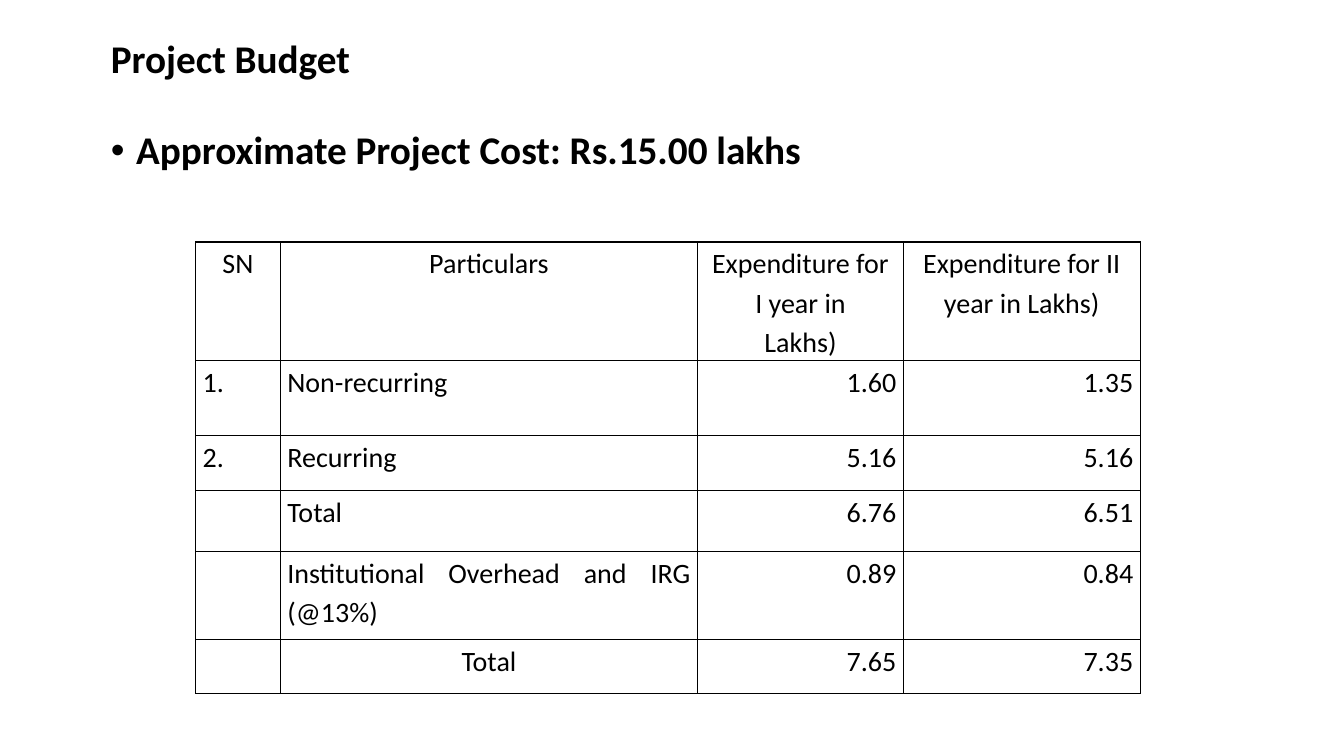
"""Build the project budget slide with its expenditure table."""
from lxml import etree
from pptx import Presentation
from pptx.dml.color import RGBColor
from pptx.enum import text
from pptx.oxml import ns
from pptx.util import Inches, Pt

BLACK = RGBColor(0, 0, 0)
FONT = "Calibri"
CENTER, RIGHT, JUSTIFY = text.PP_ALIGN.CENTER, text.PP_ALIGN.RIGHT, text.PP_ALIGN.JUSTIFY
COLUMN_WIDTHS = [0.84, 4.14, 2.04, 2.35]
ROW_HEIGHTS = [1.12, 0.75, 0.54, 0.61, 0.87, 0.54]
BUDGET = [
    ["SN", "Particulars", "Expenditure for\nI year in\nLakhs)", "Expenditure for II year in Lakhs)"],
    ["1.", "Non-recurring", "1.60", "1.35"],
    ["2.", "Recurring", "5.16", "5.16"],
    ["", "Total", "6.76", "6.51"],
    ["", "Institutional Overhead and IRG (@13%)", "0.89", "0.84"],
    ["", "Total", "7.65", "7.35"],
]


def add_text(paragraph, words, size, bold=False):
    for index, line in enumerate(words.split("\n")):
        if index:
            paragraph.add_line_break()
        run = paragraph.add_run()
        run.text = line
        run.font.name = FONT
        run.font.size = Pt(size)
        run.font.bold = bold
        run.font.color.rgb = BLACK


def add_borders(cell):
    properties = cell._tc.get_or_add_tcPr()
    for index, side in enumerate(["lnL", "lnR", "lnT", "lnB"]):
        line = etree.Element(ns.qn(f"a:{side}"), w=str(Pt(1)))
        fill = etree.SubElement(line, ns.qn("a:solidFill"))
        etree.SubElement(fill, ns.qn("a:srgbClr"), val=str(BLACK))
        properties.insert(index, line)


presentation = Presentation()
presentation.slide_width = Inches(13.33)
presentation.slide_height = Inches(7.5)
slide = presentation.slides.add_slide(presentation.slide_layouts[1])

title, body = slide.shapes.title, slide.placeholders[1]
for shape, top, height, words in [
    (title, 0.26, 1.15, "Project Budget"),
    (body, 1.25, 5.09, "Approximate Project Cost: Rs.15.00 lakhs"),
]:
    shape.left, shape.top = Inches(1), Inches(top)
    shape.width, shape.height = Inches(11.33), Inches(height)
    frame = shape.text_frame
    frame.auto_size = text.MSO_AUTO_SIZE.NONE
    frame.vertical_anchor = text.MSO_ANCHOR.TOP
    paragraph = frame.paragraphs[0]
    paragraph.alignment = text.PP_ALIGN.LEFT
    paragraph.line_spacing = 0.9
    paragraph.space_before = Pt(0)
    add_text(paragraph, words, 28, bold=True)
title.text_frame.margin_top = Inches(0.13)

bullet_properties = body.text_frame.paragraphs[0]._p.get_or_add_pPr()
bullet_properties.set("marL", str(Inches(0.25)))
bullet_properties.set("indent", str(Inches(-0.25)))
etree.SubElement(bullet_properties, ns.qn("a:buFont"), typeface="Arial")
etree.SubElement(bullet_properties, ns.qn("a:buChar"), char="•")

table = slide.shapes.add_table(
    len(ROW_HEIGHTS), len(COLUMN_WIDTHS), Inches(1.94), Inches(2.4),
    Inches(sum(COLUMN_WIDTHS)), Inches(sum(ROW_HEIGHTS)),
).table
table.first_row = False
table.horz_banding = False
for column, width in zip(table.columns, COLUMN_WIDTHS):
    column.width = Inches(width)
for row, height in zip(table.rows, ROW_HEIGHTS):
    row.height = Inches(height)

last_row = len(BUDGET) - 1
for row_index, entries in enumerate(BUDGET):
    for column_index, words in enumerate(entries):
        cell = table.cell(row_index, column_index)
        cell.margin_left = cell.margin_right = Inches(0.07)
        cell.margin_top = cell.margin_bottom = 0
        cell.fill.background()
        add_borders(cell)
        if not words:
            continue
        paragraph = cell.text_frame.paragraphs[0]
        if row_index == 0 or (row_index == last_row and column_index == 1):
            paragraph.alignment = CENTER
        else:
            paragraph.alignment = RIGHT if column_index > 1 else JUSTIFY
        paragraph.line_spacing = 1.15
        paragraph.space_after = Pt(10)
        add_text(paragraph, words, 20)

presentation.save("out.pptx")
